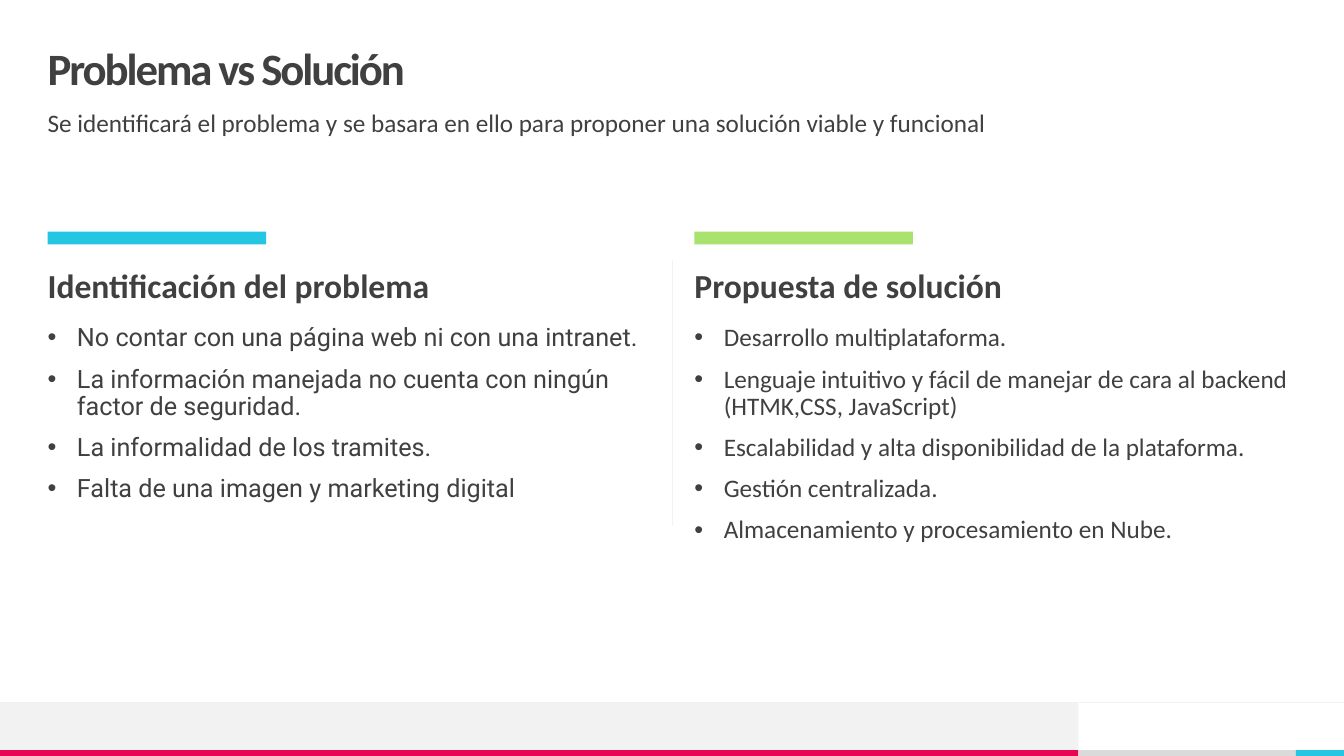
from lxml import etree
from pptx import Presentation
from pptx import util as u
from pptx.dml.color import RGBColor
from pptx.enum import shapes, text
from pptx.oxml.ns import qn

DARK, CYAN, GREEN, PINK = "404040", "25C6E3", "A9E26F", "E80554"
PALE, GREY = "F2F2F2", "DADADA"
WIDTH, HEIGHT, MARGIN = 33.87, 19.05, 1.2


def color(code):
    """Turn a hex string into a colour."""
    return RGBColor.from_string(code)


def place(shape, left, top, width, height):
    """Move and size a shape, in centimetres."""
    shape.left, shape.top = u.Cm(left), u.Cm(top)
    shape.width, shape.height = u.Cm(width), u.Cm(height)


def add_bar(page, left, top, width, height, fill):
    """Add a plain filled rectangle."""
    bar = page.shapes.add_shape(
        shapes.MSO_SHAPE.RECTANGLE, u.Cm(left), u.Cm(top), u.Cm(width), u.Cm(height))
    bar.fill.solid()
    bar.fill.fore_color.rgb = color(fill)
    bar.line.fill.background()
    bar.shadow.inherit = False


def add_rule(page, x1, y1, x2, y2):
    """Add a thin pale line."""
    rule = page.shapes.add_connector(
        shapes.MSO_CONNECTOR.STRAIGHT, u.Cm(x1), u.Cm(y1), u.Cm(x2), u.Cm(y2))
    rule.line.color.rgb = color(PALE)
    rule.line.width = u.Pt(0.5)
    etree.SubElement(rule._element.spPr, qn("a:effectLst"))


def write(box, lines, size, bold=False, name="Calibri", anchor=text.MSO_ANCHOR.TOP):
    """Fill a box with left-aligned paragraphs and no insets."""
    frame = box.text_frame
    frame.word_wrap, frame.auto_size = True, text.MSO_AUTO_SIZE.NONE
    frame.vertical_anchor = anchor
    frame.margin_left = frame.margin_top = frame.margin_right = frame.margin_bottom = 0
    frame.text = "\n".join(lines)
    for para in frame.paragraphs:
        para.alignment = text.PP_ALIGN.LEFT
        para.line_spacing, para.space_before = 0.9, u.Pt(10)
        para.font.name, para.font.size, para.font.bold = name, u.Pt(size), bold
        para.font.color.rgb = color(DARK)


def add_bullets(box):
    """Give every paragraph of a box a round bullet with a hanging indent."""
    for para in box.text_frame.paragraphs:
        properties = para._p.get_or_add_pPr()
        properties.set("marL", str(u.Cm(0.74)))
        properties.set("indent", str(-u.Cm(0.74)))
        bullet = etree.Element(qn("a:buChar"), char="•")
        properties.find(qn("a:defRPr")).addprevious(bullet)


def build_header(page, left, top, width):
    """Place the title and the sentence below it."""
    title = page.shapes.title
    place(title, left, top, width, 1.19)
    write(title, ["Problema vs Solución"], 32, bold=True, anchor=text.MSO_ANCHOR.MIDDLE)
    title.text_frame.paragraphs[0].runs[0].font._element.set("spc", "-150")
    subtitle = page.shapes.add_textbox(
        u.Cm(left), u.Cm(top + 1.6), u.Cm(width), u.Cm(0.99))
    write(subtitle, ["Se identificará el problema y se basara en ello para "
                     "proponer una solución viable y funcional"], 18)


def build_column(page, left, top, heading_id, accent, heading, points, name):
    """Place an accent bar, a heading and a bulleted list."""
    width = 15.19
    add_bar(page, left, top, 5.51, 0.32, accent)
    heading_box = page.placeholders[heading_id]
    place(heading_box, left, top + 0.94, width, 0.99)
    write(heading_box, [heading], 24, bold=True)
    list_box = page.placeholders[heading_id + 1]
    place(list_box, left, top + 2.35, width, 6.1)
    write(list_box, points, 18, name=name)
    add_bullets(list_box)


def build_footer(page, top):
    """Place the footer band and its colour strip."""
    split, corner, strip = 27.18, 32.66, 0.15
    strip_top = HEIGHT - strip
    add_bar(page, 0, top, split, strip_top - top, PALE)
    add_bar(page, 0, strip_top, split, strip, PINK)
    add_bar(page, split, strip_top, corner - split, strip, GREY)
    add_bar(page, corner, strip_top, WIDTH - corner, strip, CYAN)
    add_rule(page, 0, top, WIDTH, top)


def main():
    """Build the slide and save the deck."""
    deck = Presentation()
    deck.slide_width, deck.slide_height = u.Cm(WIDTH), u.Cm(HEIGHT)
    page = deck.slides.add_slide(deck.slide_layouts.get_by_name("Comparison"))
    build_footer(page, 17.7)
    build_header(page, MARGIN, 1.19, WIDTH - 2 * MARGIN)
    build_column(page, MARGIN, 5.84, 1, CYAN, "Identificación del problema", [
        "No contar con una página web ni con una intranet.",
        "La información manejada no cuenta con ningún factor de seguridad.",
        "La informalidad de los tramites.",
        "Falta de una imagen y marketing digital"], "Roboto")
    build_column(page, 17.5, 5.84, 3, GREEN, "Propuesta de solución", [
        "Desarrollo multiplataforma.",
        "Lenguaje intuitivo y fácil de manejar de cara al backend (HTMK,CSS, JavaScript)",
        "Escalabilidad y alta disponibilidad de la plataforma.",
        "Gestión centralizada.",
        "Almacenamiento y procesamiento en Nube."], "Calibri")
    add_rule(page, WIDTH / 2, 6.55, WIDTH / 2, 13.26)
    deck.save("out.pptx")


if __name__ == "__main__":
    main()
